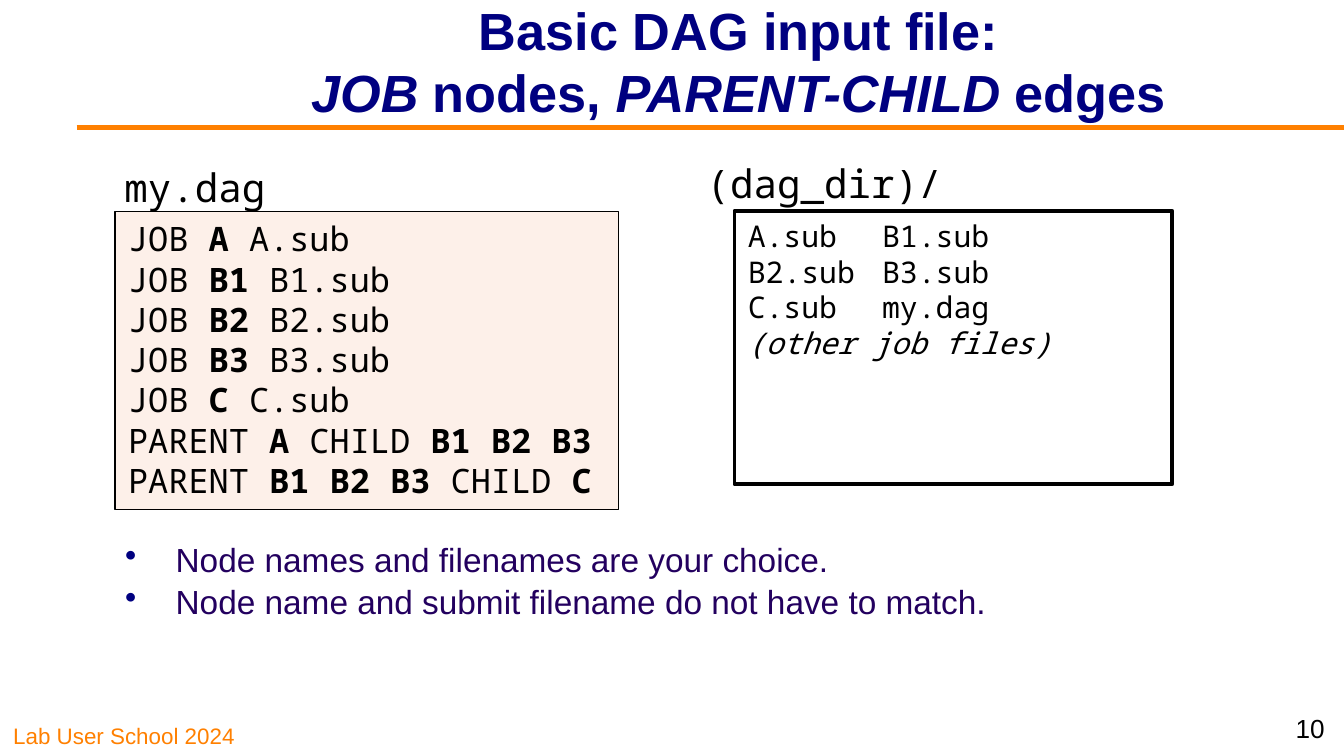
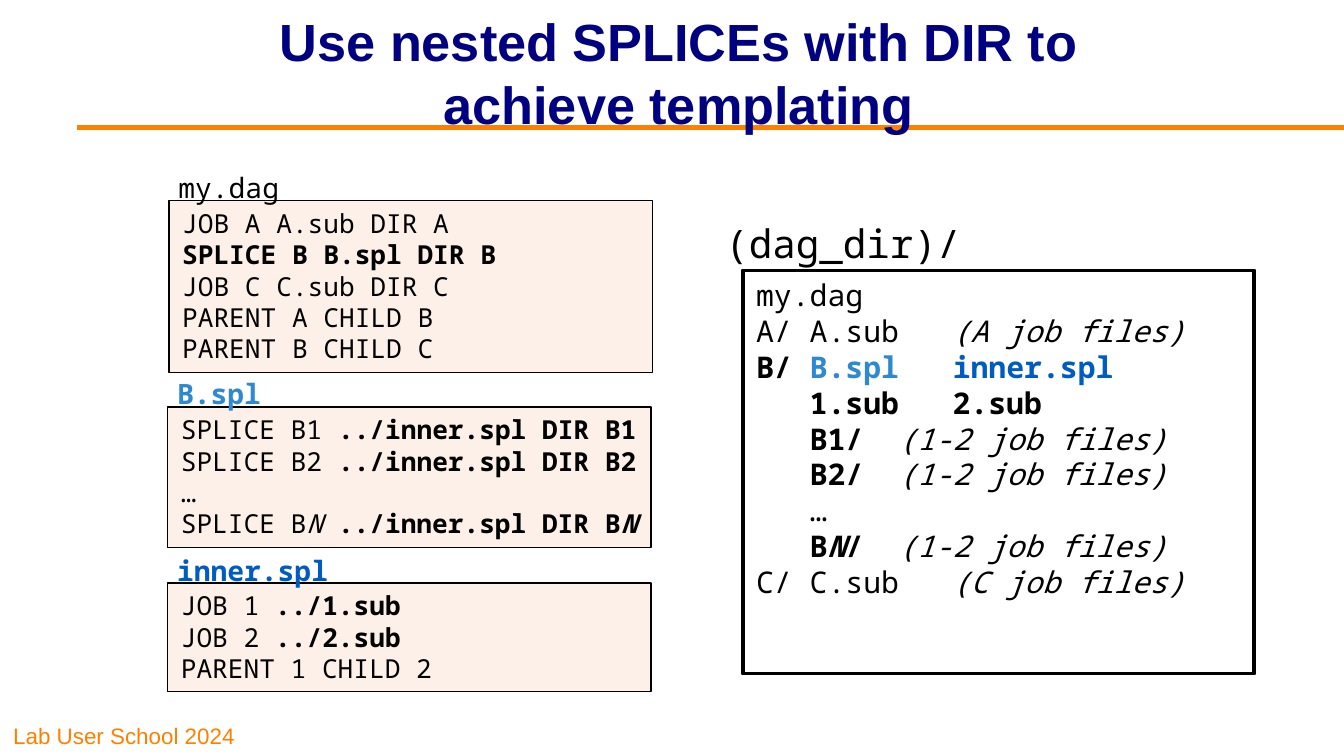
import pptx
import pptx.util
import pptx.dml.color
import pptx.enum.shapes
import pptx.enum.text
import pptx.oxml
import lxml.etree

Pt = pptx.util.Pt
ALIGN = pptx.enum.text.PP_ALIGN
ANCHOR = pptx.enum.text.MSO_ANCHOR

COLORS = {
    "navy": "000080", "orange": "FF8000", "indigo": "23005F", "black": "000000",
    "white": "FFFFFF", "cream": "FDF0E9", "sky": "2F89D2", "blue": "005CC1",
}
SANS, MONO = "Arial", "Noto Sans Mono"
BOLD = {"bold": True}
ITALIC = {"italic": True}
BOLD_ITALIC = {**BOLD, **ITALIC}

TITLE = {"name": SANS, "size": 28, "bold": True, "color": "navy"}
FOOTER = {"name": SANS, "size": 12, "color": "orange"}
NUMBER = {"name": SANS, "size": 14, "color": "black"}
BULLET = {"name": SANS, "size": 17.9, "color": "indigo"}
CODE = {"name": MONO, "size": 18, "color": "black"}
SMALL_CODE = {**CODE, "size": 14}
FILES = {**CODE, "size": 16}
LABEL = {**CODE, "size": 21}
SMALL_LABEL = {**CODE, "size": 15}


def rgb(name):
    return pptx.dml.color.RGBColor.from_string(COLORS[name])


def add_run(p, text, fmt):
    r = p.add_run()
    r.text = text
    for key, value in fmt.items():
        if key == "color":
            r.font.color.rgb = rgb(value)
        else:
            setattr(r.font, key, Pt(value) if key == "size" else value)


def write(tf, lines, base, wrap=True, anchor=ANCHOR.TOP, align=ALIGN.LEFT):
    tf.word_wrap = wrap
    tf.vertical_anchor = anchor
    for i, line in enumerate(lines):
        p = tf.add_paragraph() if i else tf.paragraphs[0]
        p.alignment = align
        for part in [line] if isinstance(line, str) else line:
            if part == "\n":
                p.add_line_break()
                continue
            text, fmt = (part, {}) if isinstance(part, str) else part
            add_run(p, text, {**base, **fmt})


def add_text(s, box, lines, base, **layout):
    sp = s.shapes.add_textbox(*map(Pt, box))
    write(sp.text_frame, lines, base, **layout)
    return sp


def add_panel(s, box, lines, base, fill, weight):
    sp = s.shapes.add_shape(pptx.enum.shapes.MSO_SHAPE.RECTANGLE, *map(Pt, box))
    sp.shadow.inherit = False
    sp.fill.solid()
    sp.fill.fore_color.rgb = rgb(fill)
    sp.line.color.rgb = rgb("black")
    sp.line.width = Pt(weight)
    write(sp.text_frame, lines, base)


def add_code(s, box, label, lines, base, label_base, rise):
    x, y, w, h = box
    add_panel(s, box, lines, base, "cream", 0.75)
    add_text(s, (x - 2, y - rise, w / 2, rise + 4), [label], label_base, wrap=True)


def add_directory(s, box, lines, indent):
    x, y, w, h = box
    add_panel(s, box, lines, FILES, "white", 2)
    add_text(s, (x - indent, y - 31, 142, 32), ["(dag_dir)/"], LABEL)


def add_bullets(s, box, lines):
    sp = add_text(s, box, lines, BULLET)
    for i, p in enumerate(sp.text_frame.paragraphs):
        p.line_spacing = 0.9
        p.space_before = Pt(3.6 if i else 0)
        pPr = p._p.get_or_add_pPr()
        pPr.set("marL", str(Pt(27)))
        pPr.set("indent", str(-Pt(27)))
        buClr = lxml.etree.SubElement(pPr, pptx.oxml.ns.qn("a:buClr"))
        lxml.etree.SubElement(buClr, pptx.oxml.ns.qn("a:srgbClr"), val=COLORS["navy"])
        lxml.etree.SubElement(pPr, pptx.oxml.ns.qn("a:buChar"), char="•")


def add_frame(prs, title_box, title):
    s = prs.slides.add_slide(prs.slide_layouts[6])
    add_text(s, (0, 382.5, 178.5, 22.5), ["Lab User School 2024"], FOOTER, anchor=ANCHOR.BOTTOM)
    rule = s.shapes.add_connector(
        pptx.enum.shapes.MSO_CONNECTOR.STRAIGHT, Pt(41), Pt(68.4), Pt(720), Pt(68.4))
    rule.line.color.rgb = rgb("orange")
    rule.line.width = Pt(3)
    lxml.etree.SubElement(rule._element.spPr, pptx.oxml.ns.qn("a:effectLst"))
    add_text(s, title_box, [title], TITLE, anchor=ANCHOR.MIDDLE, align=ALIGN.CENTER)
    return s


def basic_slide(prs):
    s = add_frame(prs, (110, -1.5, 579, 68), [
        "Basic DAG input file: ", "\n", ("JOB", ITALIC), " nodes, ",
        ("PARENT-CHILD ", ITALIC), "edges "])
    add_bullets(s, (60, 287.5, 500, 64), [
        "Node names and filenames are your choice.",
        "Node name and submit filename do not have to match."])
    add_directory(s, (393.5, 113, 234.5, 146.5), [
        "A.sub\tB1.sub", "B2.sub\tB3.sub", "C.sub\tmy.dag",
        [("(other job files)", ITALIC)]], 22)
    jobs = [["JOB ", (n, BOLD), f" {n}.sub"] for n in ("A", "B1", "B2", "B3", "C")]
    edges = [
        ["PARENT ", ("A", BOLD), " CHILD ", ("B1 B2 B3", BOLD)],
        ["PARENT ", ("B1 B2 B3 ", BOLD), "CHILD ", ("C", BOLD)]]
    add_code(s, (61.5, 113.3, 270, 159.8), "my.dag", jobs + edges, CODE, LABEL, 29.5)
    add_text(s, (687, 378, 33, 27), ["10"], NUMBER)


def splice_slide(prs):
    s = add_frame(prs, (110, 4.5, 507, 68),
                  "Use nested SPLICEs with DIR to achieve templating")
    sky, blue = ({**BOLD, "color": c} for c in ("sky", "blue"))
    job_files = ("(1-2 job files)", ITALIC)
    numbered = [[(f"   B{n}/  ", BOLD), job_files] for n in (1, 2)]
    add_directory(s, (398, 144.9, 274, 216), [
        "my.dag",
        ["A/ A.sub   ", ("(A job files)", ITALIC)],
        [("B/ ", BOLD), ("B.spl   ", sky), ("inner.spl", blue)],
        [("   1.sub   2.sub", BOLD)],
        *numbered,
        "   …",
        [("   B", BOLD), ("N", BOLD_ITALIC), ("/  ", BOLD), job_files],
        ["C/ C.sub   ", ("(C job files)", ITALIC)]], 16.5)
    splices = [[f"SPLICE B{n} ", (f"../inner.spl DIR B{n}", BOLD)] for n in (1, 2)]
    last = ["SPLICE B", ("N ", ITALIC), ("../inner.spl DIR B", BOLD), ("N", BOLD_ITALIC)]
    blocks = [
        (90.5, 107.5, 92.2, "my.dag", [
            "JOB A A.sub DIR A", [("SPLICE B B.spl DIR B", BOLD)], "JOB C C.sub DIR C",
            "PARENT A CHILD B", "PARENT B CHILD C"]),
        (89.8, 218, 75.2, ("B.spl", sky), [*splices, "…", last]),
        (89.8, 312.4, 58.2, ("inner.spl", blue), [
            *([f"JOB {n} ", (f"../{n}.sub", BOLD)] for n in (1, 2)),
            "PARENT 1 CHILD 2"]),
    ]
    for x, y, h, label, lines in blocks:
        add_code(s, (x, y, 259, h), [label], lines, SMALL_CODE, SMALL_LABEL, 19.6)


def main():
    prs = pptx.Presentation()
    prs.slide_width, prs.slide_height = Pt(720), Pt(405)
    basic_slide(prs)
    splice_slide(prs)
    prs.save("out.pptx")


if __name__ == "__main__":
    main()
